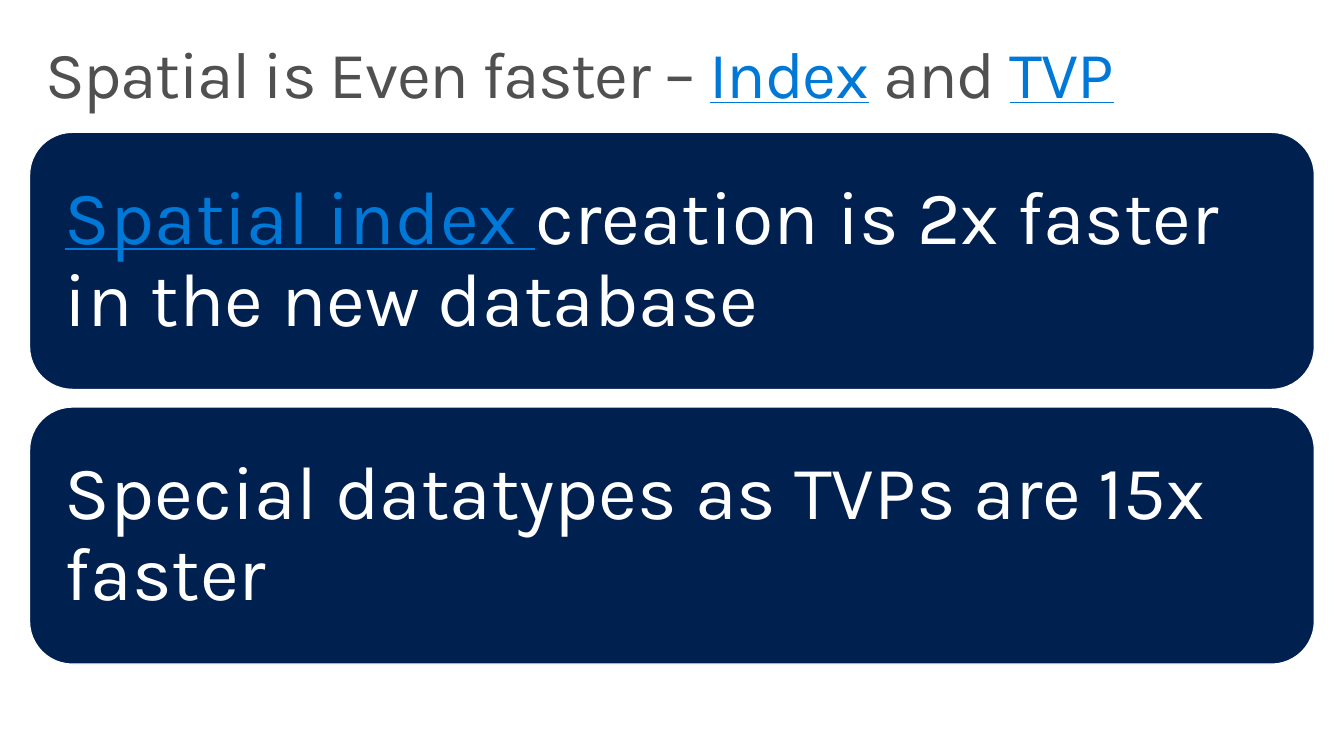
"""Build the slide on faster spatial indexes and TVPs."""
from pptx import Presentation
from pptx.dml.color import RGBColor
from pptx.enum.shapes import MSO_SHAPE
from pptx.enum.text import MSO_ANCHOR, MSO_AUTO_SIZE, PP_ALIGN
from pptx.util import Inches, Pt

ROUNDED_RECTANGLE = MSO_SHAPE.ROUNDED_RECTANGLE
TOP, MIDDLE = MSO_ANCHOR.TOP, MSO_ANCHOR.MIDDLE
NO_AUTOFIT = MSO_AUTO_SIZE.NONE
LEFT = PP_ALIGN.LEFT

NAVY = RGBColor(0x00, 0x20, 0x50)
BLUE = RGBColor(0x00, 0x78, 0xD7)
GRAY = RGBColor(0x50, 0x50, 0x50)
WHITE = RGBColor(0xFF, 0xFF, 0xFF)

TITLE_RUNS = [
    ("Spatial is Even faster – ", GRAY),
    ("Index", BLUE),
    (" and ", GRAY),
    ("TVP", BLUE),
]
CARDS = [
    [("Spatial index ", BLUE), ("creation is 2x faster in the new database", WHITE)],
    [("Special datatypes as TVPs are 15x faster", WHITE)],
]
MARGIN, CARD_WIDTH, CARD_HEIGHT = 0.3, 13, 2.6
FIRST_CARD_TOP, CARD_PITCH = 1.34, 2.78


def write_text(shape, runs, size, anchor, inset_x, inset_y, spacing=0):
    text_frame = shape.text_frame
    text_frame.word_wrap = True
    text_frame.auto_size = NO_AUTOFIT
    text_frame.vertical_anchor = anchor
    text_frame.margin_left = text_frame.margin_right = Inches(inset_x)
    text_frame.margin_top = text_frame.margin_bottom = Inches(inset_y)
    paragraph = text_frame.paragraphs[0]
    paragraph.alignment = LEFT
    paragraph.line_spacing = 0.9
    for text, color in runs:
        run = paragraph.add_run()
        run.text = text
        run.font.name = "Karla"
        run.font.size = Pt(size)
        run.font.color.rgb = color
        run.font.underline = color == BLUE
        if spacing:
            run.font._element.set("spc", str(spacing))


presentation = Presentation()
presentation.slide_width = Inches(13.6)
presentation.slide_height = Inches(7.65)
slide = presentation.slides.add_slide(presentation.slide_layouts[5])

title = slide.shapes.title
title.left, title.top = Inches(MARGIN), Inches(0.32)
title.width, title.height = Inches(CARD_WIDTH), Inches(1)
write_text(title, TITLE_RUNS, 48, TOP, 0.16, 0.1, spacing=-100)

for index, card_runs in enumerate(CARDS):
    card = slide.shapes.add_shape(
        ROUNDED_RECTANGLE,
        Inches(MARGIN),
        Inches(FIRST_CARD_TOP + index * CARD_PITCH),
        Inches(CARD_WIDTH),
        Inches(CARD_HEIGHT),
    )
    card.shadow.inherit = False
    card.fill.solid()
    card.fill.fore_color.rgb = NAVY
    card.line.color.rgb = WHITE
    card.line.width = Pt(0.85)
    write_text(card, card_runs, 55, MIDDLE, 0.23, 0.23)

presentation.save("out.pptx")
